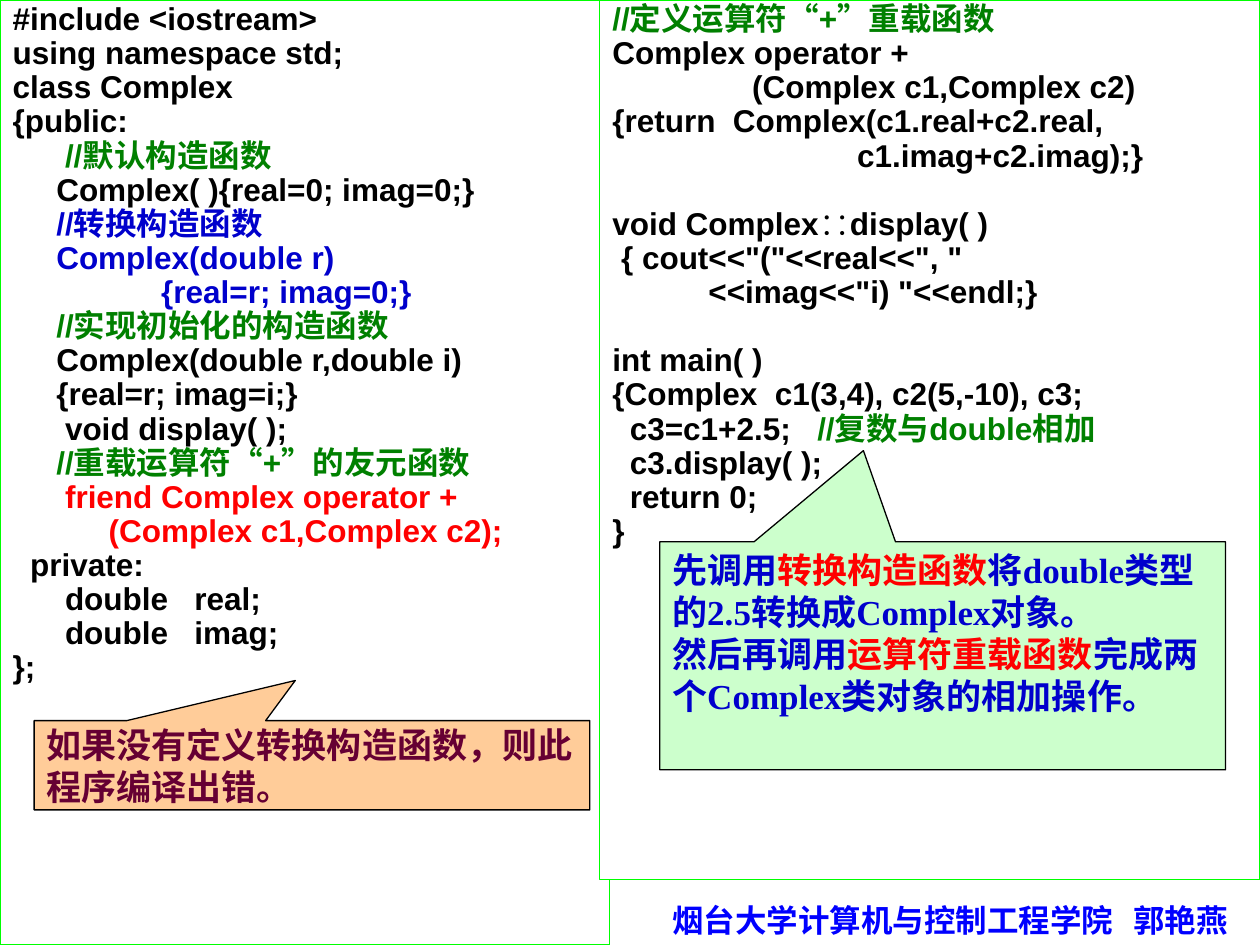
from dataclasses import dataclass

from lxml import etree
from pptx import Presentation
from pptx.dml.color import RGBColor
from pptx.enum.shapes import MSO_SHAPE
from pptx.enum.text import MSO_ANCHOR, MSO_AUTO_SIZE
from pptx.oxml.ns import qn
from pptx.util import Pt

CALLOUT = MSO_SHAPE.RECTANGULAR_CALLOUT
TOP, MIDDLE = MSO_ANCHOR.TOP, MSO_ANCHOR.MIDDLE
NO_FIT = MSO_AUTO_SIZE.NONE
TWO_CONTENT = 3


@dataclass(frozen=True)
class Theme:
    code_font: str = "Arial"
    note_font: str = "Times New Roman"
    code_size: float = 18
    note_size: float = 20
    ink: str = "000000"
    comment: str = "008000"
    blue: str = "0000CC"
    red: str = "FF0000"
    plum: str = "660033"
    footer: str = "0000FF"
    paper: str = "FFFFFF"
    frame: str = "00FF00"
    green_fill: str = "CCFFCC"
    orange_fill: str = "FFCC99"
    line_width: float = 0.75
    line_spacing: float = 0.8
    gap: float = 2.2
    blank_line: float = 19.5
    hang: float = 27


T = Theme()

CLASS_CODE = [
    [("#include <iostream>", T.ink)],
    [("using namespace std;", T.ink)],
    [("class Complex", T.ink)],
    [("{public:", T.ink)],
    [("      //默认构造函数", T.comment)],
    [("     Complex( ){real=0; imag=0;}", T.ink)],
    [("     //转换构造函数", T.blue)],
    [("     Complex(double r)", T.blue)],
    [("                 {real=r; imag=0;}", T.blue)],
    [("     //实现初始化的构造函数", T.comment)],
    [("     Complex(double r,double i)", T.ink)],
    [("     {real=r; imag=i;}", T.ink)],
    [("      void display( );", T.ink)],
    [("     //重载运算符“+”的友元函数", T.comment)],
    [("      friend Complex operator +", T.red)],
    [("           (Complex c1,Complex c2);", T.red)],
    [("  private:", T.ink)],
    [("      double   real;", T.ink)],
    [("      double   imag;", T.ink)],
    [("};", T.ink)],
]

MAIN_CODE = [
    [("//定义运算符“+”重载函数", T.comment)],
    [("Complex operator +", T.ink)],
    [("                (Complex c1,Complex c2)", T.ink)],
    [("{return  Complex(c1.real+c2.real,", T.ink)],
    [("                            c1.imag+c2.imag);}", T.ink)],
    [("void Complex∷display( )", T.ink)],
    [(' { cout<<"("<<real<<", "', T.ink)],
    [('           <<imag<<"i) "<<endl;}', T.ink)],
    [("int main( )", T.ink)],
    [("{Complex  c1(3,4), c2(5,-10), c3;", T.ink)],
    [("  c3=c1+2.5;   ", T.ink), ("//复数与double相加", T.comment)],
    [("  c3.display( );", T.ink)],
    [("  return 0;", T.ink)],
    [("}", T.ink)],
]
MAIN_BREAKS = (5, 8)

CALL_NOTE = [
    [("先调用", T.blue), ("转换构造函数", T.red),
     ("将double类型的2.5转换成Complex对象。", T.blue)],
    [("然后再调用", T.blue), ("运算符重载函数", T.red),
     ("完成两个Complex类对象的相加操作。", T.blue)],
]
ERROR_NOTE = [[("如果没有定义转换构造函数，则此程序编译出错。", T.plum)]]
FOOTER = [[("烟台大学计算机与控制工程学院\t", T.footer), ("郭艳燕", T.footer)]]


def rgb(value):
    return RGBColor.from_string(value)


def place(sp, box):
    sp.left, sp.top, sp.width, sp.height = (Pt(v) for v in box)


def paint(sp, fill, line):
    sp.fill.solid()
    sp.fill.fore_color.rgb = rgb(fill)
    sp.line.color.rgb = rgb(line)
    sp.line.width = Pt(T.line_width)


def write(sp, lines, font, size, anchor=TOP):
    tf = sp.text_frame
    tf.word_wrap = True
    tf.auto_size = NO_FIT
    tf.vertical_anchor = anchor
    tf.margin_left = tf.margin_right = Pt(7.2)
    tf.margin_top = tf.margin_bottom = Pt(3.6)
    for i, runs in enumerate(lines):
        p = tf.add_paragraph() if i else tf.paragraphs[0]
        for text, color in runs:
            r = p.add_run()
            r.text = text
            r.font.name = font
            r.font.size = Pt(size)
            r.font.bold = True
            r.font.color.rgb = rgb(color)
    return tf.paragraphs


def code_panel(sp, box, lines, breaks=()):
    place(sp, box)
    paint(sp, T.paper, T.frame)
    for i, p in enumerate(write(sp, lines, T.code_font, T.code_size)):
        pPr = p._p.get_or_add_pPr()
        pPr.set("marL", str(Pt(T.hang)))
        pPr.set("indent", str(-Pt(T.hang)))
        etree.SubElement(pPr, qn("a:buNone"))
        p.line_spacing = T.line_spacing
        extra = T.blank_line if i in breaks else 0
        p.space_before = Pt(T.gap + extra if i else 0)


def callout(slide, box, tip, fill, lines, anchor):
    sp = slide.shapes.add_shape(CALLOUT, *(Pt(v) for v in box))
    sp.shadow.inherit = False
    sp.adjustments[0], sp.adjustments[1] = tip
    paint(sp, fill, T.ink)
    for p in write(sp, lines, T.note_font, T.note_size, anchor):
        pPr = p._p.get_or_add_pPr()
        pPr.set("algn", "l")


def footer(slide, box, name_offset):
    sp = slide.shapes.add_textbox(*(Pt(v) for v in box))
    p = write(sp, FOOTER, T.code_font, T.code_size)[0]
    tabs = etree.SubElement(p._p.get_or_add_pPr(), qn("a:tabLst"))
    etree.SubElement(tabs, qn("a:tab"), pos=str(Pt(name_offset)), algn="l")


def build():
    prs = Presentation()
    prs.slide_width, prs.slide_height = Pt(720), Pt(540)
    slide = prs.slides.add_slide(prs.slide_layouts[TWO_CONTENT])
    title, left, right = slide.placeholders
    title.element.getparent().remove(title.element)

    code_panel(left, (0, 0, 348.5, 540), CLASS_CODE)
    code_panel(right, (342.7, 0, 377.3, 502.6), MAIN_CODE, MAIN_BREAKS)
    callout(slide, (377, 309.6, 323.3, 130.3), (-0.14, -0.9),
            T.green_fill, CALL_NOTE, TOP)
    callout(slide, (19.5, 411.8, 317.5, 51), (-0.03, -0.95),
            T.orange_fill, ERROR_NOTE, MIDDLE)
    footer(slide, (377, 511.2, 343, 28.8), 263.5)
    prs.save("out.pptx")


if __name__ == "__main__":
    build()
